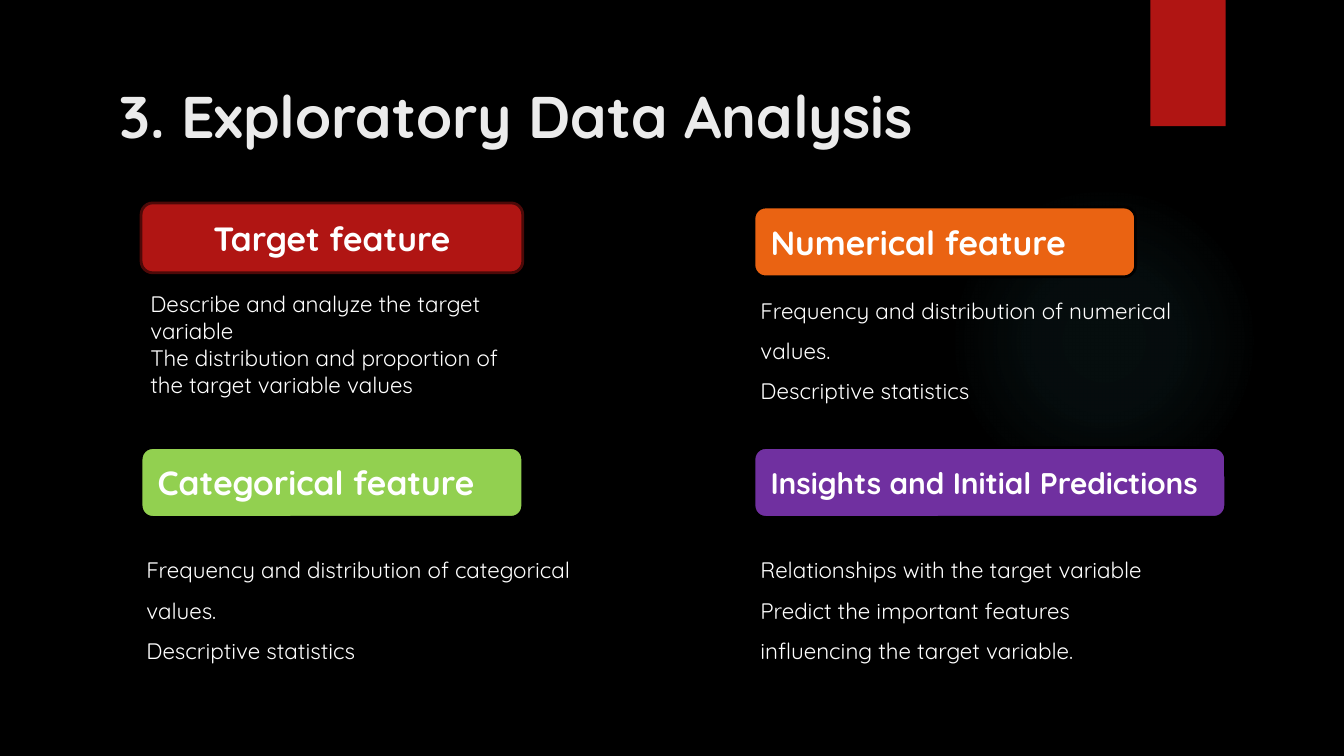
from dataclasses import dataclass

from pptx import Presentation
from pptx.dml.color import RGBColor
from pptx.enum import shapes, text
from pptx.oxml import parse_xml
from pptx.oxml.ns import nsdecls
from pptx.util import Inches, Pt

FONT = "Quicksand"
BLACK = RGBColor(0x00, 0x00, 0x00)
WHITE = RGBColor(0xFF, 0xFF, 0xFF)
PALE = RGBColor(0xEB, 0xEB, 0xEB)
RED = RGBColor(0xB0, 0x15, 0x13)
MAROON = RGBColor(0x4D, 0x09, 0x08)
GREEN = RGBColor(0x92, 0xD0, 0x50)
ORANGE = RGBColor(0xEA, 0x63, 0x12)
PURPLE = RGBColor(0x70, 0x30, 0xA0)
TEAL = RGBColor(0x50, 0xB9, 0xC1)

WIDTH, HEIGHT = Inches(10), Inches(5.625)
COLS, ROWS = 100, 56.25  # square grid cells
LEFT, RIGHT = 10.5, 56.1  # columns where the labels start
LABEL_H = 5.2

Box = tuple[float, float, float, float]  # column, row, columns, rows


@dataclass
class Topic:
    head: str
    label: Box
    fill: RGBColor
    lines: list[str]
    body: Box
    edge: RGBColor = BLACK
    size: float = 18
    align: text.PP_ALIGN = text.PP_ALIGN.LEFT
    space: float = 1.5


TOPICS = [
    Topic("Target feature", (LEFT, 15.1, 28.4, LABEL_H), RED,
          ["Describe and analyze the target variable",
           "The distribution and proportion of the target variable values"],
          (10.2, 20.6, 30.7, 10.4),
          edge=MAROON, align=text.PP_ALIGN.CENTER, space=1),
    Topic("Numerical feature", (RIGHT, 15.4, 28.4, LABEL_H), ORANGE,
          ["Frequency and distribution of numerical values.",
           "Descriptive statistics"],
          (55.6, 20.1, 33.9, 10.4)),
    Topic("Categorical feature", (LEFT, 33.3, 28.4, LABEL_H), GREEN,
          ["Frequency and distribution of categorical values.",
           "Descriptive statistics"],
          (9.9, 39.4, 34.2, 10.4)),
    Topic("Insights and Initial Predictions", (RIGHT, 33.3, 35.1, LABEL_H), PURPLE,
          ["Relationships with the target variable",
           "Predict the important features influencing the target variable."],
          (55.6, 39.4, 30.7, 13.7), size=16),
]


def place(box: Box) -> list[int]:
    """Turn grid cells into slide lengths."""
    x, y, w, h = box
    return [round(x * WIDTH / COLS), round(y * HEIGHT / ROWS),
            round(w * WIDTH / COLS), round(h * HEIGHT / ROWS)]


def write(shape, lines: list[str], *, size: float, color: RGBColor = WHITE,
          bold: bool = False, align=text.PP_ALIGN.LEFT,
          anchor=text.MSO_ANCHOR.TOP, space: float = 1, inset: float = 0.1) -> None:
    frame = shape.text_frame
    frame.word_wrap = True
    frame.auto_size = text.MSO_AUTO_SIZE.NONE
    frame.vertical_anchor = anchor
    frame.margin_left = frame.margin_right = Inches(0.1)
    frame.margin_top = frame.margin_bottom = Inches(inset)
    frame.text = "\n".join(lines)
    for para in frame.paragraphs:
        para.alignment = align
        para.line_spacing = space
        para.space_before = para.space_after = Pt(0)
        font = para.runs[0].font
        font.name, font.size, font.bold = FONT, Pt(size), bold
        font.color.rgb = color


def draw(slide, kind, box: Box, fill: RGBColor, edge: RGBColor | None = None):
    shape = slide.shapes.add_shape(kind, *place(box))
    shape.shadow.inherit = False
    shape.fill.solid()
    shape.fill.fore_color.rgb = fill
    if edge is None:
        shape.line.fill.background()
    else:
        shape.line.color.rgb = edge
        shape.line.width = Pt(1.5)
    return shape


def glow(shape, color: RGBColor, stops: list[tuple[int, int]]) -> None:
    """Fill with a round gradient of (position, opacity) in percent."""
    marks = "".join(
        f'<a:gs pos="{pos * 1000}"><a:srgbClr val="{color}">'
        f'<a:alpha val="{alpha * 1000}"/></a:srgbClr></a:gs>'
        for pos, alpha in stops)
    grad = parse_xml(
        f'<a:gradFill {nsdecls("a")} rotWithShape="1"><a:gsLst>{marks}</a:gsLst>'
        '<a:path path="circle"><a:fillToRect l="50000" t="50000" r="50000" '
        'b="50000"/></a:path></a:gradFill>')
    props = shape.fill._xPr
    props.replace(props.solidFill, grad)


def add_topic(slide, topic: Topic) -> None:
    body = slide.shapes.add_textbox(*place(topic.body))
    write(body, topic.lines, size=12, space=topic.space)
    label = draw(slide, shapes.MSO_SHAPE.ROUNDED_RECTANGLE, topic.label,
                 topic.fill, topic.edge)
    write(label, [topic.head], size=topic.size, bold=True, align=topic.align,
          anchor=text.MSO_ANCHOR.MIDDLE, inset=0.05)


def main() -> None:
    deck = Presentation()
    deck.slide_width, deck.slide_height = WIDTH, HEIGHT
    slide = deck.slides.add_slide(deck.slide_layouts[5])
    slide.background.fill.solid()
    slide.background.fill.fore_color.rgb = BLACK

    # Backdrop: soft glow and red tab
    halo = draw(slide, shapes.MSO_SHAPE.OVAL, (70.6, 13.8, 23.1, 23.1), TEAL)
    glow(halo, TEAL, [(0, 7), (36, 6), (69, 0)])
    draw(slide, shapes.MSO_SHAPE.RECTANGLE, (85.6, 0, 5.6, 9.4), RED)

    # Title
    title = slide.shapes.title
    title.left, title.top, title.width, title.height = place((7.9, 4.9, 84.3, 6.3))
    write(title, ["3. Exploratory Data Analysis"], size=31.5, color=PALE, bold=True)

    # Four topics
    for topic in TOPICS:
        add_topic(slide, topic)

    deck.save("out.pptx")


if __name__ == "__main__":
    main()
